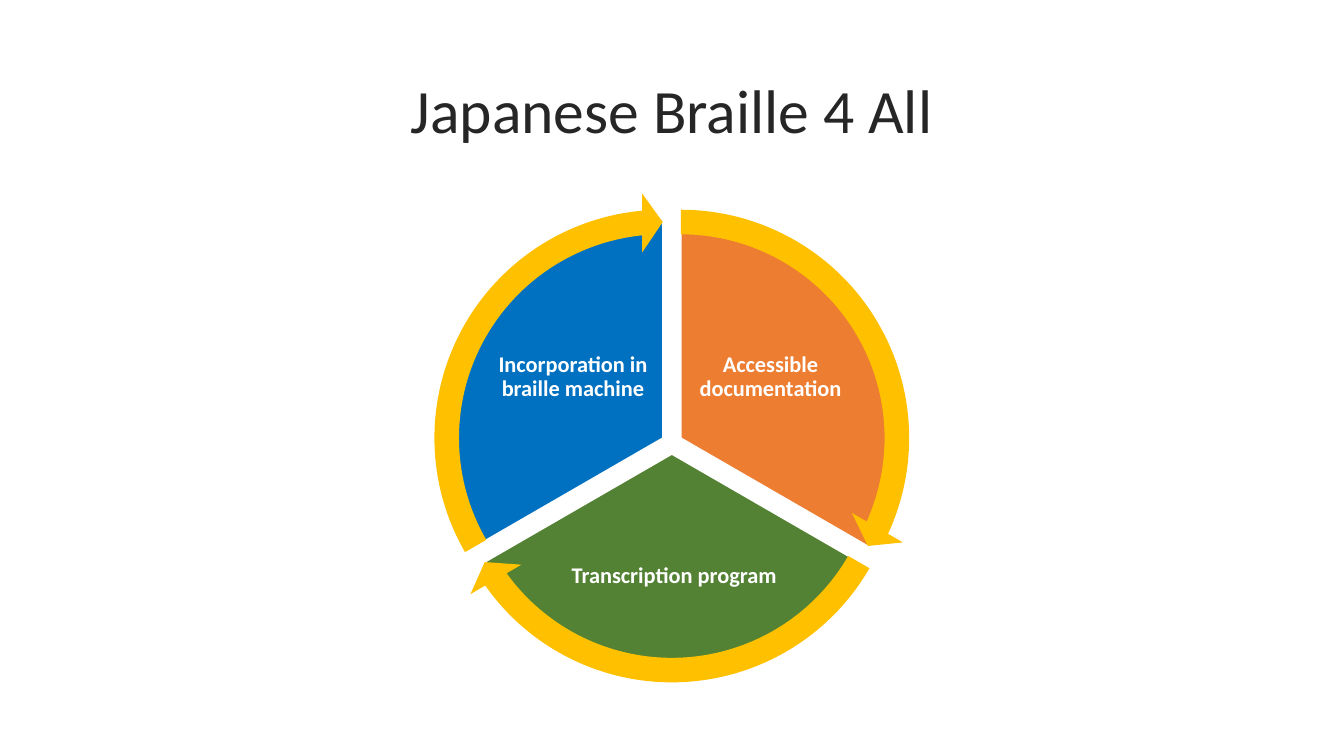
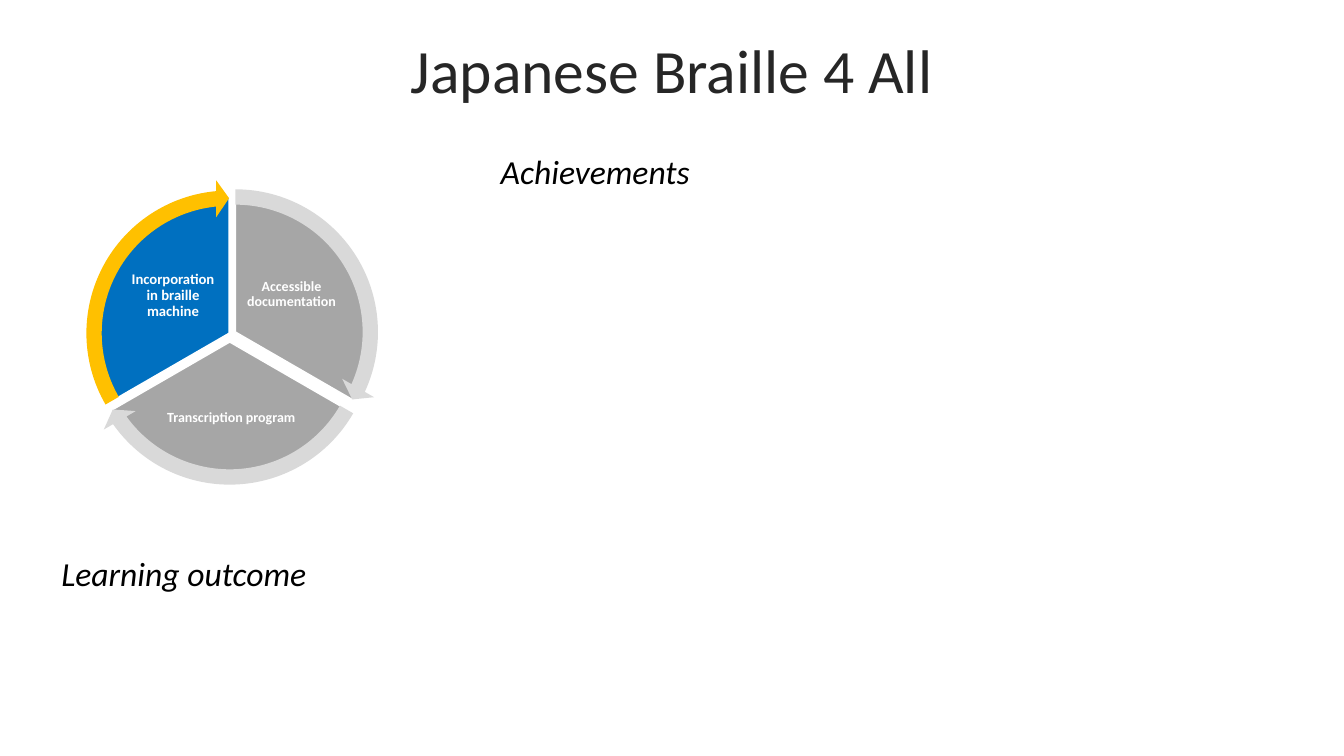
"""Builds two slides showing the Japanese Braille 4 All cycle, whole and with one step in focus."""
from pptx import Presentation
from pptx.dml.color import RGBColor
from pptx.enum.shapes import MSO_SHAPE
from pptx.enum.text import MSO_ANCHOR, PP_ALIGN
from pptx.util import Pt

PIE, ARROW = MSO_SHAPE.PIE, MSO_SHAPE.CIRCULAR_ARROW
CENTER, LEFT = PP_ALIGN.CENTER, PP_ALIGN.LEFT
MIDDLE, TOP = MSO_ANCHOR.MIDDLE, MSO_ANCHOR.TOP

THEME = {
    "font": "Calibri", "title_size": 44, "heading_size": 24, "label_size": 16,
    "title": "262626", "text": "000000", "white": "FFFFFF",
    "orange": "ED7D31", "green": "548235", "blue": "0070C0", "gold": "FFC000",
    "gray": "A6A6A6", "light_gray": "D9D9D9",
}
TITLE = "Japanese Braille 4 All"
PIE_SIZE, ARROW_SIZE = 311.8, 350.6
ARROW_INSET = (ARROW_SIZE - PIE_SIZE) / 2

STEPS = [
    {"text": "Accessible documentation", "offset": (13, 0), "label": (177.1, 66.2, 111.6, 92.9),
     "pie": (162, 18), "arrow": (14.72, 161.99)},
    {"text": "Transcription program", "offset": (6.5, 11.5), "label": (80.6, 213.8, 167, 81.4),
     "pie": (18, 90), "arrow": (86.72, 18)},
    {"text": "Incorporation in braille machine", "offset": (0, 0), "label": (36, 66.2, 111.6, 92.9),
     "pie": (90, 162), "arrow": (158.73, 90)},
]

SLIDES = [
    {"title_top": 28.8, "origin": (317.5, 157), "scale": 1, "headings": [],
     "styles": [("orange", "gold", 16, (0, 0)), ("green", "gold", 16, (0, 0)),
                ("blue", "gold", 16, (0, 0))]},
    {"title_top": 0, "origin": (62.6, 139.7), "scale": 0.625,
     "headings": [("Achievements", 350.6, 104.4), ("Learning outcome", 36.7, 391.7)],
     "styles": [("gray", "light_gray", 10, (0, 0)), ("gray", "light_gray", 10, (0, 0)),
                ("blue", "gold", 10.5, (3.6, 0.9))]},
]


def add_text(shapes, text, box, size, color, align=CENTER, anchor=MIDDLE,
             inset=None, spacing=0.9, bold=False, italic=False):
    tf = shapes.add_textbox(*[Pt(v) for v in box]).text_frame
    tf.word_wrap = True
    tf.vertical_anchor = anchor
    if inset is not None:
        tf.margin_left = tf.margin_right = tf.margin_top = tf.margin_bottom = Pt(inset)
    tf.text = text
    p = tf.paragraphs[0]
    p.alignment = align
    p.line_spacing = spacing
    font = p.runs[0].font
    font.name, font.size = THEME["font"], Pt(size)
    font.bold, font.italic = bold, italic
    font.color.rgb = RGBColor.from_string(THEME[color])


def add_part(shapes, kind, x, y, size, color, adjustments):
    sp = shapes.add_shape(kind, Pt(x), Pt(y), Pt(size), Pt(size))
    sp.shadow.inherit = False
    for i, value in enumerate(adjustments):
        sp.adjustments[i] = value
    sp.fill.solid()
    sp.fill.fore_color.rgb = RGBColor.from_string(THEME[color])
    sp.line.fill.background()
    return sp


prs = Presentation()
prs.slide_width, prs.slide_height = Pt(960), Pt(540)

for page in SLIDES:
    s = prs.slides.add_slide(prs.slide_layouts[6])
    add_text(s.shapes, TITLE, (66, page["title_top"], 828, 104.4), THEME["title_size"], "title")

    cycle = s.shapes.add_group_shape().shapes
    scale = page["scale"]
    arrows = []
    for step, (fill, arrow_fill, size, nudge) in zip(STEPS, page["styles"]):
        left, top = [o + n for o, n in zip(page["origin"], nudge)]
        dx, dy = step["offset"]
        x, y = left + dx * scale, top + dy * scale
        sp = add_part(cycle, PIE, x, y, PIE_SIZE * scale, fill, step["pie"])
        sp.line.color.rgb = RGBColor.from_string(THEME["white"])
        sp.line.width = Pt(1)
        lx, ly, w, h = [v * scale for v in step["label"]]
        add_text(cycle, step["text"], (left + lx, top + ly, w, h), size, "white",
                 inset=1.5 * scale, bold=True)
        inset = ARROW_INSET * scale
        arrows.append((x - inset, y - inset, ARROW_SIZE * scale, arrow_fill,
                       (0.05, 3.28, *step["arrow"], 0.06)))
    for arrow in arrows:
        add_part(cycle, ARROW, *arrow)

    for text, x, y in page["headings"]:
        add_text(s.shapes, text, (x, y, 201.6, 36), THEME["heading_size"], "text",
                 align=LEFT, anchor=TOP, spacing=1, italic=True)

prs.save("out.pptx")
